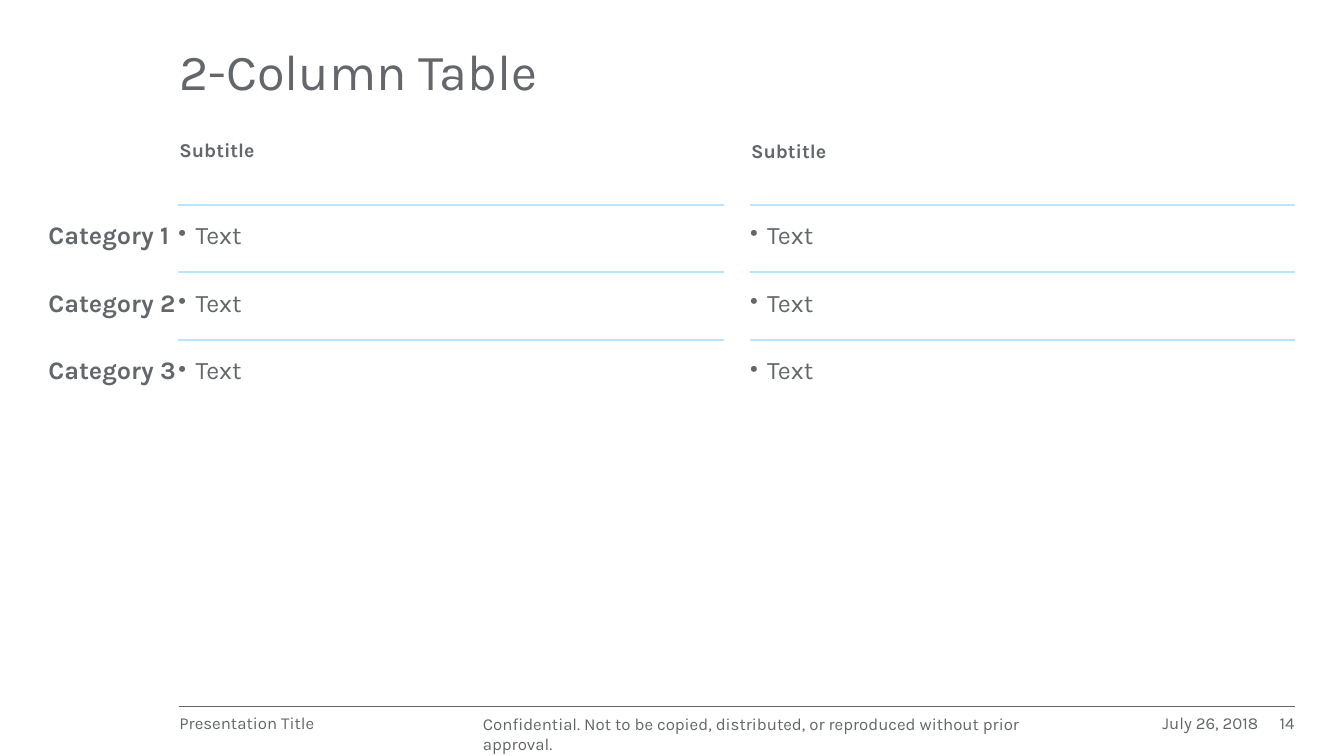
"""Build a slide with a two-column table of categories."""
from lxml import etree
from pptx import Presentation
from pptx.dml.color import RGBColor
from pptx.enum import shapes, text
from pptx.oxml import ns
from pptx.util import Inches, Pt

GREY = RGBColor(0x63, 0x66, 0x6A)
SKY = RGBColor(0xB7, 0xE6, 0xFF)
FONT = "Karla"
LEFT, RIGHT = 1.78, 12.84
FOOTER_TOP = 7.08
COLUMN_WIDTHS = (1.29, 5.41, 0.26, 5.4)
ROW_HEIGHT = 0.6
CATEGORIES = ("Category 1", "Category 2", "Category 3")


def add_span(para, words, size, bold=False):
    """Add one styled run to a paragraph."""
    span = para.add_run()
    span.text = words
    span.font.name = FONT
    span.font.size = Pt(size)
    span.font.bold = bold
    span.font.color.rgb = GREY


def add_label(page, words, place, size, bold=False, spacing=0.99,
              align=text.PP_ALIGN.LEFT, anchor=text.MSO_ANCHOR.TOP):
    """Add a text box without margins."""
    box = page.shapes.add_textbox(*map(Inches, place))
    frame = box.text_frame
    frame.word_wrap = True
    frame.vertical_anchor = anchor
    frame.margin_left = frame.margin_right = 0
    frame.margin_top = frame.margin_bottom = 0
    para = frame.paragraphs[0]
    para.alignment = align
    para.line_spacing = spacing
    add_span(para, words, size, bold)


def add_footer_rule(page):
    """Draw the thin line above the footer."""
    rule = page.shapes.add_connector(
        shapes.MSO_CONNECTOR.STRAIGHT, *map(Inches, (LEFT, 7.01, RIGHT, 7.01)))
    rule.line.color.rgb = GREY
    rule.line.width = Pt(0.25)
    etree.SubElement(rule._element.spPr, ns.qn("a:effectLst"))


def add_bullet(para):
    """Give a paragraph a hanging bullet."""
    settings = para._p.get_or_add_pPr()
    settings.set("marL", str(Inches(0.17)))
    settings.set("indent", str(-Inches(0.17)))
    etree.SubElement(settings, ns.qn("a:buSzPct"), val="91000")
    etree.SubElement(settings, ns.qn("a:buChar"), char="•")


def set_borders(cell, ruled_edges):
    """Rule the named edges of a cell and clear the others."""
    settings = cell._tc.get_or_add_tcPr()
    for position, edge in enumerate("LRTB"):
        ruled = edge in ruled_edges
        line = etree.Element(ns.qn(f"a:ln{edge}"), w=str(Pt(1.5) if ruled else 0))
        if ruled:
            fill = etree.SubElement(line, ns.qn("a:solidFill"))
            etree.SubElement(fill, ns.qn("a:srgbClr"), val=str(SKY))
        else:
            etree.SubElement(line, ns.qn("a:noFill"))
        settings.insert(position, line)


def fill_cell(cell, words, is_category, ruled_edges):
    """Write one table cell and style it."""
    cell.fill.background()
    set_borders(cell, ruled_edges)
    if not words:
        return
    cell.margin_left = cell.margin_right = 0
    cell.margin_top, cell.margin_bottom = Inches(0.17), Inches(0.2)
    para = cell.text_frame.paragraphs[0]
    if not is_category:
        add_bullet(para)
    add_span(para, words, 18, is_category)


def add_category_table(page):
    """Add the table of categories with two ruled columns."""
    place = (0.48, 2.03, sum(COLUMN_WIDTHS), ROW_HEIGHT * len(CATEGORIES))
    table = page.shapes.add_table(
        len(CATEGORIES), len(COLUMN_WIDTHS), *map(Inches, place)).table
    table.first_row = table.horz_banding = False
    for column, width in zip(table.columns, COLUMN_WIDTHS):
        column.width = Inches(width)
    for row, category in enumerate(CATEGORIES):
        edges = "T" if row == len(CATEGORIES) - 1 else "TB"
        for column, words in enumerate((category, "Text", "", "Text")):
            ruled_edges = edges if words == "Text" else ""
            fill_cell(table.cell(row, column), words, column == 0, ruled_edges)


def main():
    """Build and save the slide."""
    deck = Presentation()
    deck.slide_width, deck.slide_height = Inches(13.33), Inches(7.5)
    page = deck.slides.add_slide(deck.slide_layouts[6])
    add_label(page, "2-Column Table", (LEFT, 0.24, 9.84, 1), 36,
              spacing=0.9, anchor=text.MSO_ANCHOR.MIDDLE)
    for left, spacing in ((LEFT, 0.99), (7.45, 0.9)):
        add_label(page, "Subtitle", (left, 1.24, 5.4, 0.37), 14, True,
                  spacing, anchor=text.MSO_ANCHOR.BOTTOM)
    add_category_table(page)
    add_footer_rule(page)
    footers = (
        ("Presentation Title", LEFT, 2.94, 0.99, text.PP_ALIGN.LEFT),
        ("Confidential. Not to be copied, distributed, or reproduced "
         "without prior approval.", 4.79, 5.64, 1.0, text.PP_ALIGN.LEFT),
        ("July 26, 2018", 10.43, 2.05, 0.99, text.PP_ALIGN.RIGHT),
        ("14", 12.48, 0.36, 0.99, text.PP_ALIGN.RIGHT),
    )
    for words, left, width, spacing, align in footers:
        add_label(page, words, (left, FOOTER_TOP, width, 0.2), 12,
                  spacing=spacing, align=align)
    deck.save("out.pptx")


if __name__ == "__main__":
    main()
